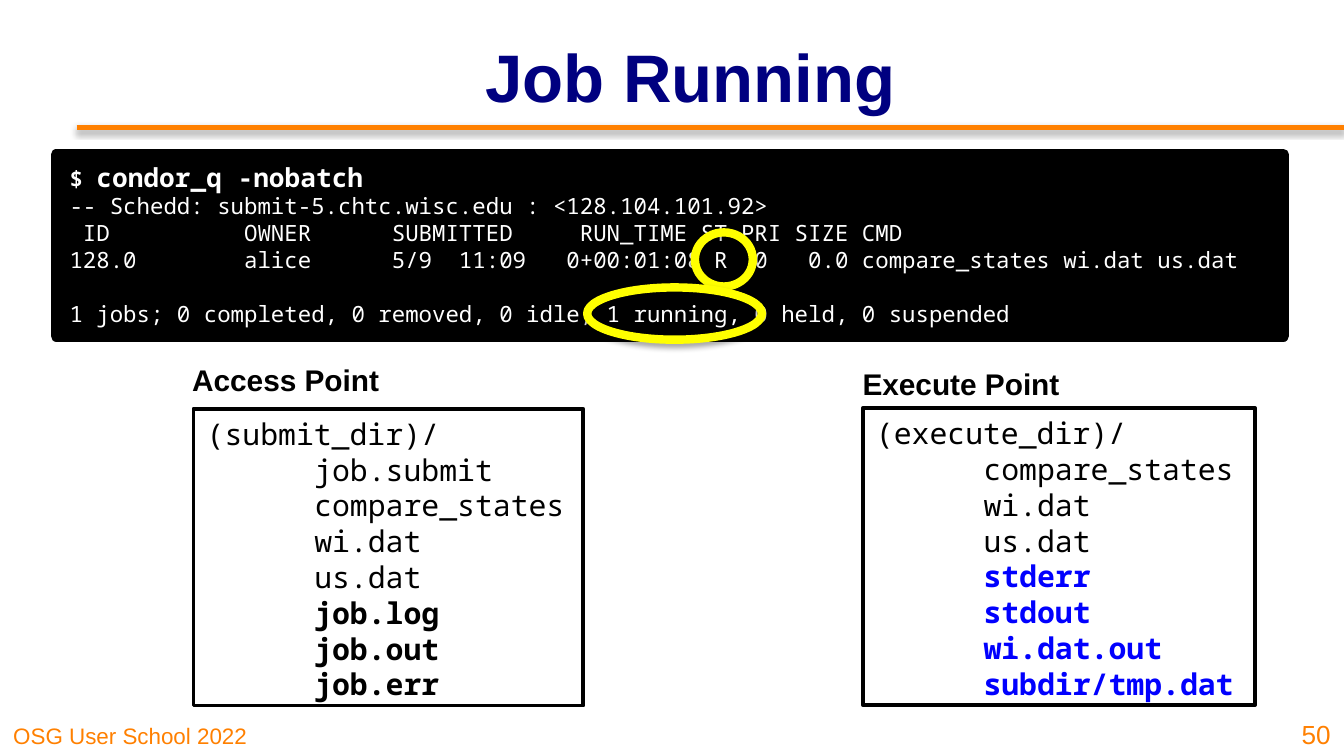
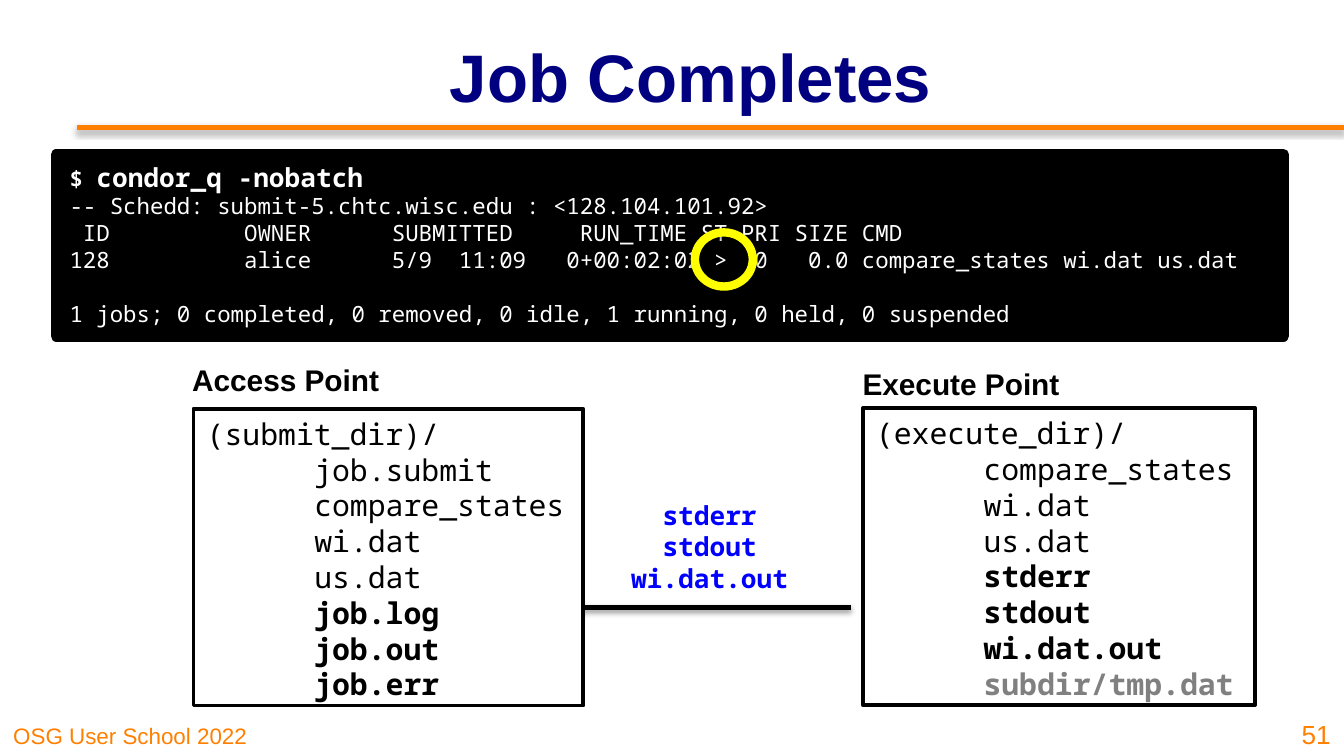
from lxml.etree import SubElement
from pptx import Presentation
from pptx.dml.color import RGBColor
from pptx.enum.shapes import MSO_CONNECTOR, MSO_SHAPE
from pptx.enum.text import MSO_ANCHOR, PP_ALIGN
from pptx.oxml.ns import qn
from pptx.util import Pt

HEX = {
    "ink": "000000", "paper": "FFFFFF", "navy": "000080", "orange": "FF8000",
    "blue": "0100FE", "grey": "808080", "ring": "FFFF00",
}
SANS, MONO = "Arial", "Noto Sans Mono"
TAB = 57.6

HEAD = " ID          OWNER      SUBMITTED     RUN_TIME ST PRI SIZE CMD"
SCHEDD = "-- Schedd: submit-5.chtc.wisc.edu : <128.104.101.92>"
TOTAL = "1 jobs; 0 completed, 0 removed, 0 idle, 1 running, 0 held, 0 suspended"
ACCESS = [("job.submit", None), ("compare_states", None), ("wi.dat", None),
          ("us.dat", None), ("job.log", "ink"), ("job.out", "ink"), ("job.err", "ink")]
INPUTS = [("compare_states", None), ("wi.dat", None), ("us.dat", None)]
RESULTS = ["stderr", "stdout", "wi.dat.out"]

STATE = (372.3, 124.5, 31, 29)
COUNT = (314.6, 154, 93.6, 28)


def rgb(name):
    return RGBColor.from_string(HEX[name])


def style(font, name, size, color="ink", bold=False):
    font.name, font.size, font.bold = name, Pt(size), bold
    font.color.rgb = rgb(color)


def shade(shape, alpha, dist):
    """Give a shape or connector a soft shadow that falls straight down."""
    props = shape._element.spPr
    list_ = props.find(qn("a:effectLst"))
    if list_ is None:
        list_ = SubElement(props, qn("a:effectLst"))
    drop = SubElement(list_, qn("a:outerShdw"), blurRad=str(Pt(3.1)),
                      dist=str(Pt(dist)), dir="5400000", rotWithShape="0")
    tint = SubElement(drop, qn("a:srgbClr"), val=HEX["ink"])
    SubElement(tint, qn("a:alpha"), val=str(alpha * 1000))


def line(slide, start, end, color):
    rule = slide.shapes.add_connector(MSO_CONNECTOR.STRAIGHT, *map(Pt, start + end))
    rule.line.color.rgb = rgb(color)
    rule.line.width = Pt(3)
    return rule


def panel(slide, box, fill, edge, width, kind=MSO_SHAPE.RECTANGLE):
    """Add a preset shape with its text at the top left."""
    shape = slide.shapes.add_shape(kind, *map(Pt, box))
    shape.shadow.inherit = False
    if fill:
        shape.fill.solid()
        shape.fill.fore_color.rgb = rgb(fill)
    else:
        shape.fill.background()
    shape.line.color.rgb = rgb(edge)
    shape.line.width = Pt(width)
    shape.text_frame.word_wrap = True
    shape.text_frame.vertical_anchor = MSO_ANCHOR.TOP
    return shape


def label(slide, box, text, size, color, bold=False,
          align=PP_ALIGN.LEFT, anchor=MSO_ANCHOR.MIDDLE):
    frame = slide.shapes.add_textbox(*map(Pt, box)).text_frame
    frame.word_wrap = True
    frame.vertical_anchor = anchor
    para = frame.paragraphs[0]
    para.text, para.alignment = text, align
    style(para.font, SANS, size, color, bold)


def lines(frame, texts):
    """Write one paragraph per text and yield each with its text."""
    for i, text in enumerate(texts):
        para = frame.add_paragraph() if i else frame.paragraphs[0]
        para.alignment = PP_ALIGN.LEFT
        para.text = text
        yield para


def base(slide, title, page):
    """Place the footer, title, rule and page number."""
    label(slide, (0, 382.3, 178.6, 22.3), "OSG User School 2022", 12, "orange",
          anchor=MSO_ANCHOR.BOTTOM)
    line(slide, (41, 68.4), (720, 68.4), "orange")
    label(slide, (96.5, 6.5, 547.2, 67.7), title, 36, "navy", True, PP_ALIGN.CENTER)
    label(slide, (686.9, 378, 33.1, 27.4), str(page), 14, "orange",
          align=PP_ALIGN.RIGHT, anchor=MSO_ANCHOR.BOTTOM)


def shell(slide, box, job):
    """Show the queue command and its output in a terminal."""
    frame = panel(slide, box, "ink", "ink", 6).text_frame
    prompt, *rest = lines(frame, ["", SCHEDD, HEAD, job, TOTAL])
    for text, size in (("$ ", 12), ("condor_q -nobatch", 14)):
        run = prompt.add_run()
        run.text = text
        style(run.font, MONO, size, "paper", True)
    for para in rest:
        style(para.font, MONO, 12, "paper")
    rest[-1].space_before = Pt(14.4)


def ring(slide, box):
    shade(panel(slide, box, None, "ring", 4.5, MSO_SHAPE.OVAL), 35, 1.8)


def folder(slide, box, name, files):
    """List a directory; a file with a colour is set in bold."""
    frame = panel(slide, box, "paper", "ink", 2).text_frame
    names = [name] + ["\t" + file for file, _ in files]
    colors = [None] + [color for _, color in files]
    for para, color in zip(lines(frame, names), colors):
        tabs = SubElement(para._p.get_or_add_pPr(), qn("a:tabLst"))
        SubElement(tabs, qn("a:tab"), pos=str(Pt(TAB)), algn="l")
        style(para.font, MONO, 16, color or "ink", bool(color))


def move(slide, box):
    """Show the results that travel back along an arrow below them."""
    left, top, width, height = box
    shape = panel(slide, box, "paper", "paper", 2)
    shape.text_frame.vertical_anchor = MSO_ANCHOR.MIDDLE
    for para in lines(shape.text_frame, RESULTS):
        para.alignment = PP_ALIGN.CENTER
        style(para.font, MONO, 14, "blue", True)
    low = top + height - 2.9
    arrow = line(slide, (left + width + 22.3, low), (left - 24.5, low), "ink")
    SubElement(arrow.line._get_or_add_ln(), qn("a:tailEnd"), type="arrow")
    shade(arrow, 38, 1.6)


def status(deck, title, page, job, rings, outputs, moving=False):
    slide = deck.slides.add_slide(deck.slide_layouts[6])
    base(slide, title, page)
    if moving:
        move(slide, (326.9, 257, 106.6, 71.3))
    shell(slide, (30.2, 82.8, 657.4, 97.2), job)
    for box in rings:
        ring(slide, box)
    folder(slide, (103.7, 219, 208.8, 159), "(submit_dir)/", ACCESS)
    folder(slide, (462.2, 218.7, 210.2, 159), "(execute_dir)/", INPUTS + outputs)
    label(slide, (95.8, 187.8, 121, 31), "Access Point", 16, "ink", True)
    label(slide, (455, 189.8, 121, 31), "Execute Point", 16, "ink", True)


def main():
    deck = Presentation()
    deck.slide_width, deck.slide_height = Pt(720), Pt(405)
    status(deck, "Job Running", 50,
           "128.0        alice      5/9  11:09   0+00:01:08 R  0   0.0 compare_states wi.dat us.dat",
           [STATE, COUNT], [(file, "blue") for file in RESULTS + ["subdir/tmp.dat"]])
    status(deck, "Job Completes", 51,
           "128          alice      5/9  11:09   0+00:02:02 >  0   0.0 compare_states wi.dat us.dat",
           [STATE], [(file, "ink") for file in RESULTS] + [("subdir/tmp.dat", "grey")],
           moving=True)
    deck.save("out.pptx")


if __name__ == "__main__":
    main()
